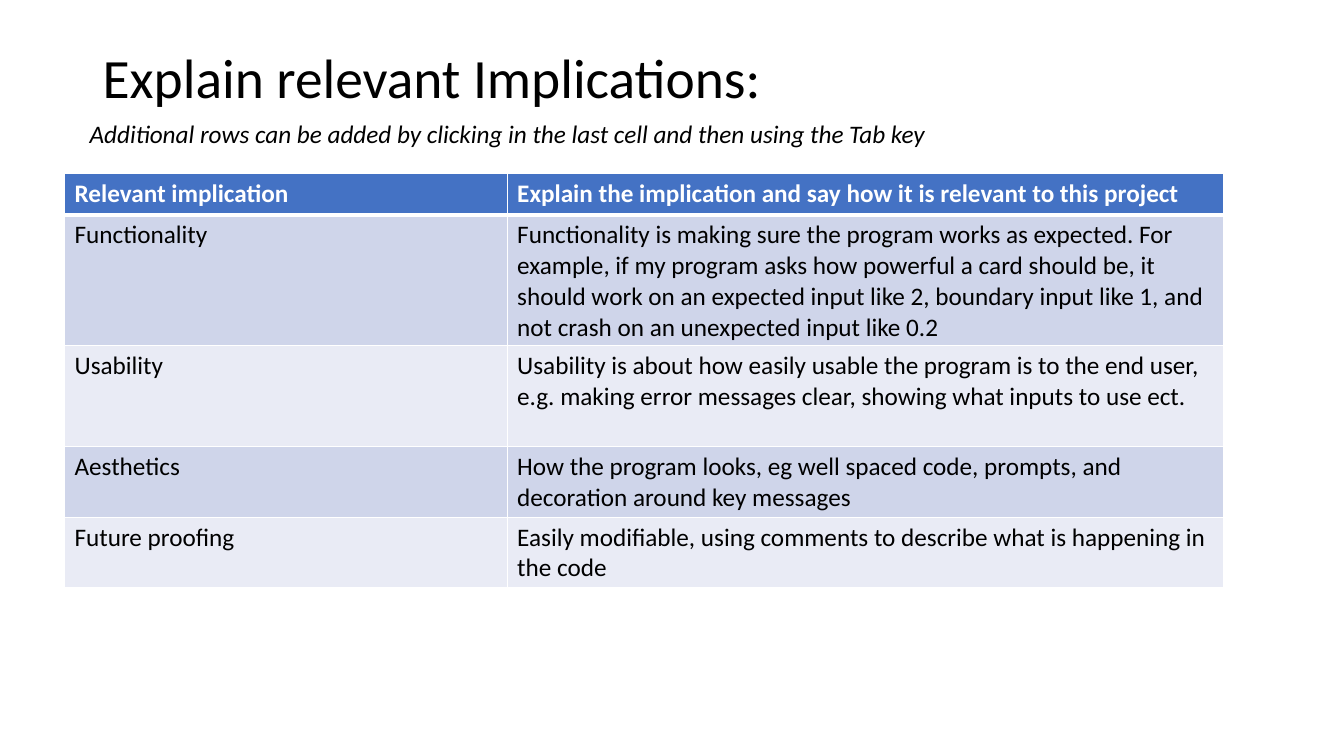
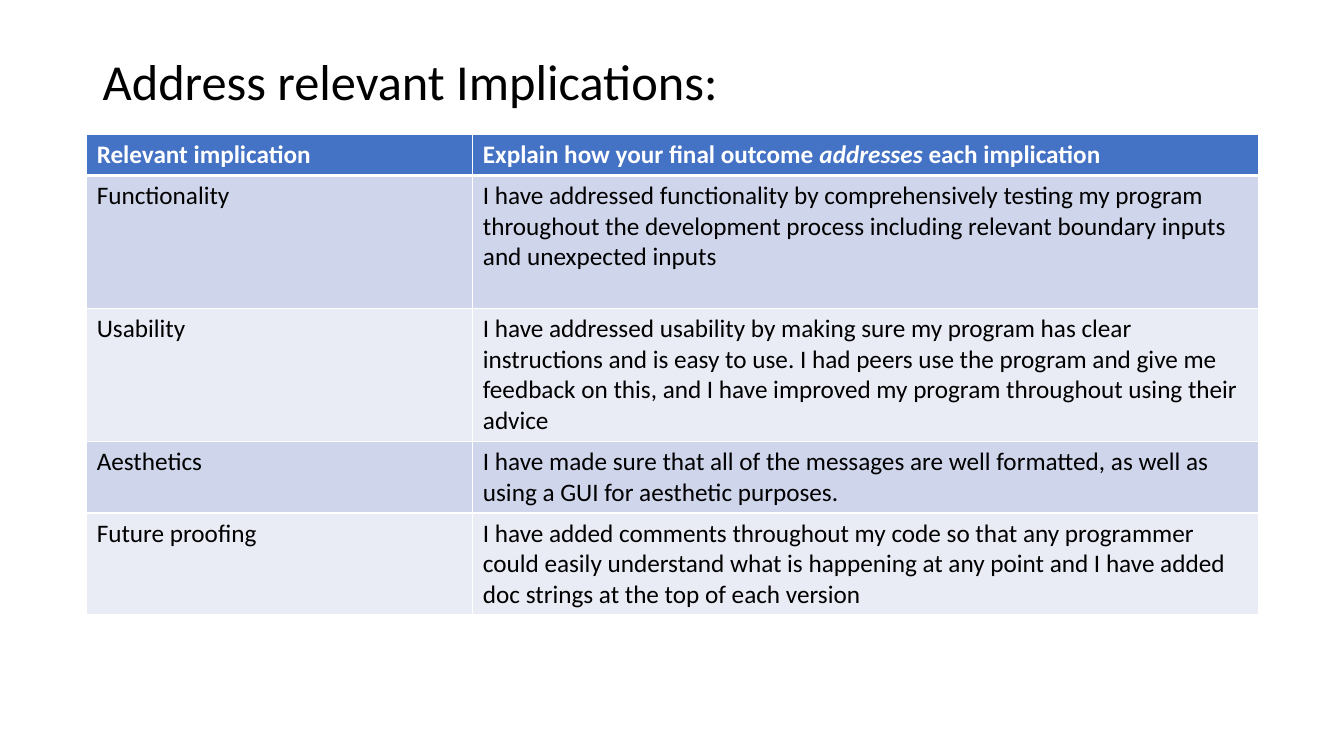
from dataclasses import dataclass

from lxml import etree
from pptx import Presentation
from pptx.dml.color import RGBColor
from pptx.enum import text as txt
from pptx.oxml import ns
from pptx.util import Inches, Pt

# Shared style
FONT = "Calibri"
BLACK = RGBColor(0x00, 0x00, 0x00)
WHITE = RGBColor(0xFF, 0xFF, 0xFF)
HEADER_BLUE = RGBColor(0x44, 0x72, 0xC4)
BAND_DARK = RGBColor(0xCF, 0xD5, 0xEA)
BAND_LIGHT = RGBColor(0xE9, 0xEB, 0xF5)
BODY_SIZE = 18
THIN, THICK = 1, 3
TOPICS = ("Functionality", "Usability", "Aesthetics", "Future proofing")


@dataclass(frozen=True)
class Box:
    left: float
    top: float
    width: float
    height: float

    def emu(self) -> tuple:
        return tuple(Inches(v) for v in (self.left, self.top, self.width, self.height))


@dataclass(frozen=True)
class Implications:
    title: str
    title_size: float
    title_height: float
    left: float
    top: float
    columns: tuple[float, float]
    rows: tuple[float, ...]
    question: tuple[str, ...]  # every second piece is italic
    answers: tuple[str, ...]
    hint: str = ""


SLIDES = (
    Implications(
        title="Explain relevant Implications:",
        title_size=39.6,
        title_height=0.61,
        left=0.64,
        top=1.72,
        columns=(4.39, 7.11),
        rows=(0.41, 1.3, 1.0, 0.7, 0.7),
        question=("Explain the implication and say how it is relevant to this project",),
        answers=(
            "Functionality is making sure the program works as expected. "
            "For example, if my program asks how powerful a card should be, "
            "it should work on an expected input like 2, boundary input like 1, "
            "and not crash on an unexpected input like 0.2",
            "Usability is about how easily usable the program is to the end "
            "user, e.g. making error messages clear, showing what inputs to use ect.",
            "How the program looks, eg well spaced code, prompts, "
            "and decoration around key messages",
            "Easily modifiable, using comments to describe what is happening in the code",
        ),
        hint="Additional rows can be added by clicking in the last cell "
             "and then using the Tab key",
    ),
    Implications(
        title="Address relevant Implications:",
        title_size=36,
        title_height=0.7,
        left=0.86,
        top=1.33,
        columns=(3.83, 7.79),
        rows=(0.41, 1.32, 1.32, 0.71, 1.01),
        question=("Explain how your final outcome ", "addresses", " each implication"),
        answers=(
            "I have addressed functionality by comprehensively testing my program "
            "throughout the development process including relevant boundary inputs "
            "and unexpected inputs",
            "I have addressed usability by making sure my program has clear "
            "instructions and is easy to use. I had peers use the program and give me "
            "feedback on this, and I have improved my program throughout using their advice",
            "I have made sure that all of the messages are well formatted, "
            "as well as using a GUI for aesthetic purposes.",
            "I have added comments throughout my code so that any programmer "
            "could easily understand what is happening at any point and I have added "
            "doc strings at the top of each version",
        ),
    ),
)


def style_run(run, size: float, color: RGBColor = BLACK,
              bold: bool = False, italic: bool = False) -> None:
    font = run.font
    font.name, font.size = FONT, Pt(size)
    font.bold, font.italic = bold, italic
    font.color.rgb = color


def add_text(slide, box: Box, words: str, size: float, italic: bool = False):
    frame = slide.shapes.add_textbox(*box.emu()).text_frame
    frame.word_wrap = True
    frame.text = words
    style_run(frame.paragraphs[0].runs[0], size, italic=italic)
    return frame


def add_title(slide, words: str, size: float, height: float) -> None:
    frame = add_text(slide, Box(0.92, 0.4, 11.5, height), words, size)
    frame.vertical_anchor = txt.MSO_ANCHOR.MIDDLE
    frame.paragraphs[0].line_spacing = 1.15


def set_borders(cell, top: float, bottom: float) -> None:
    properties = cell._tc.get_or_add_tcPr()
    for side, width in (("L", THIN), ("R", THIN), ("T", top), ("B", bottom)):
        line = etree.SubElement(properties, ns.qn(f"a:ln{side}"), w=str(Pt(width)))
        fill = etree.SubElement(line, ns.qn("a:solidFill"))
        etree.SubElement(fill, ns.qn("a:srgbClr"), val=str(WHITE))


def fill_cell(cell, pieces: tuple[str, ...], row: int) -> None:
    header = row == 0
    # Borders come before the fill in the cell properties
    set_borders(cell, THICK if row == 1 else THIN, THICK if header else THIN)
    cell.fill.solid()
    band = BAND_DARK if row % 2 else BAND_LIGHT
    cell.fill.fore_color.rgb = HEADER_BLUE if header else band
    paragraph = cell.text_frame.paragraphs[0]
    for i, piece in enumerate(pieces):
        run = paragraph.add_run()
        run.text = piece
        style_run(run, BODY_SIZE, WHITE if header else BLACK,
                  bold=header, italic=i % 2 == 1)


def add_implication_table(slide, content: Implications) -> None:
    box = Box(content.left, content.top, sum(content.columns), sum(content.rows))
    table = slide.shapes.add_table(len(content.rows), len(content.columns), *box.emu()).table
    for column, width in zip(table.columns, content.columns):
        column.width = Inches(width)
    for row, height in zip(table.rows, content.rows):
        row.height = Inches(height)

    lines = [(("Relevant implication",), content.question)]
    lines += [((topic,), (answer,)) for topic, answer in zip(TOPICS, content.answers)]
    for r, line in enumerate(lines):
        for c, pieces in enumerate(line):
            fill_cell(table.cell(r, c), pieces, r)


def main() -> None:
    deck = Presentation()
    deck.slide_width, deck.slide_height = Inches(13.33), Inches(7.5)
    for content in SLIDES:
        slide = deck.slides.add_slide(deck.slide_layouts[6])
        add_title(slide, content.title, content.title_size, content.title_height)
        if content.hint:
            add_text(slide, Box(0.79, 1.12, 10.94, 0.4), content.hint, BODY_SIZE, italic=True)
        add_implication_table(slide, content)
    deck.save("out.pptx")


if __name__ == "__main__":
    main()
